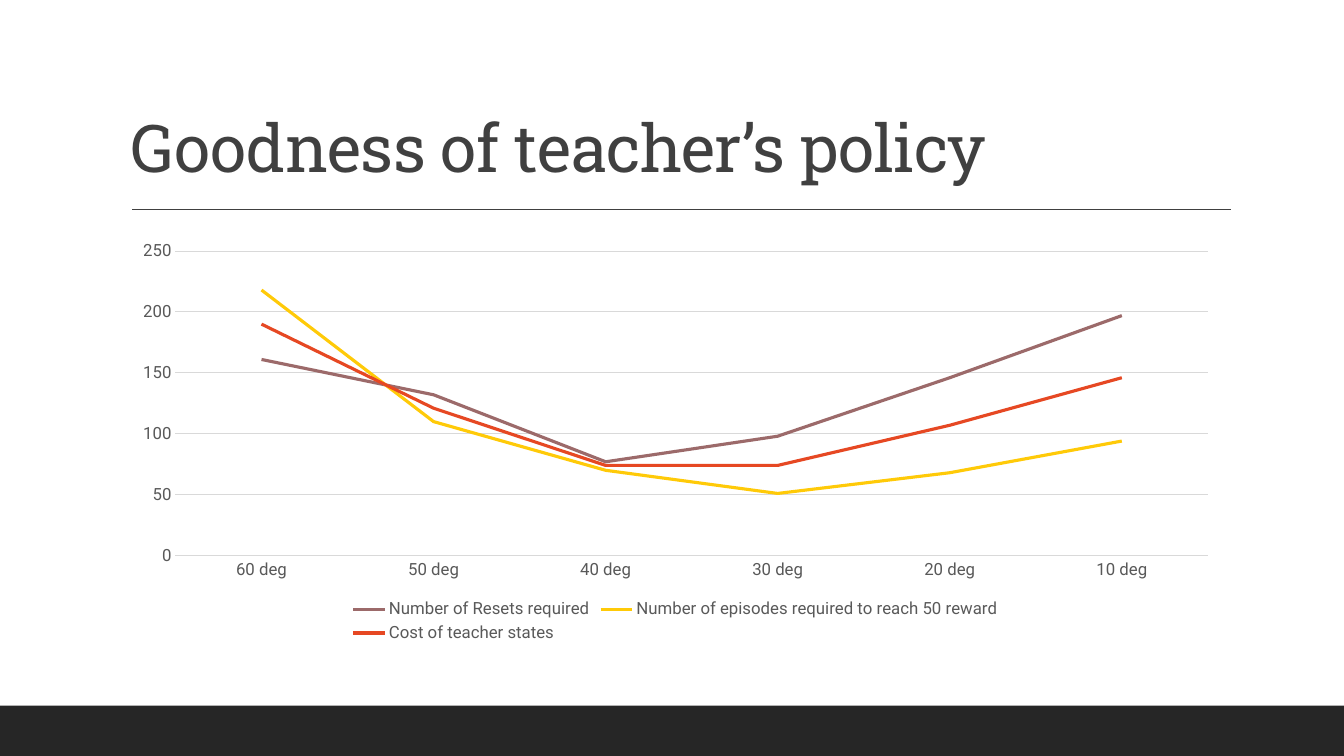
import pptx
import pptx.chart.data
import pptx.dml.color
import pptx.enum.chart
import pptx.enum.shapes
import pptx.enum.text
import pptx.oxml
import pptx.util
from pptx.util import Inches

COLOURS = {
    "footer": "262626",
    "title": "404040",
    "label": "595959",
    "grid": "D9D9D9",
    "resets": "9C6A6A",
    "episodes": "FFCA08",
    "cost": "E64823",
}
ANGLES = ["60 deg", "50 deg", "40 deg", "30 deg", "20 deg", "10 deg"]
SERIES = [
    ("Number of Resets required", "resets", (161, 132, 77, 98, 146, 197)),
    ("Number of episodes required to reach 50 reward", "episodes", (218, 110, 70, 51, 68, 94)),
    ("Cost of teacher states", "cost", (190, 121, 74, 74, 107, 146)),
]


def colour(name):
    return pptx.dml.color.RGBColor.from_string(COLOURS[name])


def style_font(font, face, size, shade):
    font.name = face
    font.size = pptx.util.Pt(size)
    font.color.rgb = colour(shade)


def style_line(line, shade, width):
    line.color.rgb = colour(shade)
    line.width = pptx.util.Pt(width)


def add_bar(page, left, top, width, height, shade):
    bar = page.shapes.add_shape(
        pptx.enum.shapes.MSO_SHAPE.RECTANGLE,
        Inches(left), Inches(top), Inches(width), Inches(height))
    bar.shadow.inherit = False
    bar.fill.solid()
    bar.fill.fore_color.rgb = colour(shade)
    bar.line.fill.background()


def add_rule(page, left, right, top, shade, width):
    rule = page.shapes.add_connector(
        pptx.enum.shapes.MSO_CONNECTOR.STRAIGHT,
        Inches(left), Inches(top), Inches(right), Inches(top))
    style_line(rule.line, shade, width)
    rule._element.spPr.append(pptx.oxml.parse_xml(
        '<a:effectLst xmlns:a="http://schemas.openxmlformats.org/drawingml/2006/main"/>'))


def add_text(page, text, *, left, top, width, height, face, size, shade, spacing, tracking):
    box = page.shapes.add_textbox(Inches(left), Inches(top), Inches(width), Inches(height))
    frame = box.text_frame
    frame.word_wrap = True
    frame.vertical_anchor = pptx.enum.text.MSO_ANCHOR.BOTTOM
    para = frame.paragraphs[0]
    para.line_spacing = spacing
    span = para.add_run()
    span.text = text
    style_font(span.font, face, size, shade)
    # Letter spacing is in hundredths of a point
    span._r.get_or_add_rPr().set("spc", str(round(tracking * 100)))


def style_axis(axis):
    axis.major_tick_mark = pptx.enum.chart.XL_TICK_MARK.NONE
    axis.minor_tick_mark = pptx.enum.chart.XL_TICK_MARK.NONE
    style_font(axis.tick_labels.font, "Roboto", 12, "label")


def add_line_chart(page, left, top, width, height):
    data = pptx.chart.data.CategoryChartData()
    data.categories = ANGLES
    for name, _, values in SERIES:
        data.add_series(name, values)
    chart = page.shapes.add_chart(
        pptx.enum.chart.XL_CHART_TYPE.LINE,
        Inches(left), Inches(top), Inches(width), Inches(height), data).chart
    style_font(chart.font, "Roboto", 12, "label")
    chart.has_title = False

    # Axes and gridlines
    style_axis(chart.category_axis)
    style_line(chart.category_axis.format.line, "grid", 0.75)
    values_axis = chart.value_axis
    style_axis(values_axis)
    values_axis.format.line.fill.background()
    values_axis.minimum_scale = 0
    values_axis.maximum_scale = 250
    values_axis.major_unit = 50
    values_axis.has_major_gridlines = True
    style_line(values_axis.major_gridlines.format.line, "grid", 0.75)

    # Legend
    chart.has_legend = True
    chart.legend.position = pptx.enum.chart.XL_LEGEND_POSITION.BOTTOM
    chart.legend.include_in_layout = False
    style_font(chart.legend.font, "Roboto", 12, "label")

    # Lines
    plot = chart.plots[0]
    plot.vary_by_categories = False
    for series, (_, shade, _) in zip(plot.series, SERIES):
        series.smooth = False
        series.marker.style = pptx.enum.chart.XL_MARKER_STYLE.NONE
        style_line(series.format.line, shade, 2.25)


def main():
    deck = pptx.Presentation()
    deck.slide_width = Inches(13.33)
    deck.slide_height = Inches(7.5)
    page = deck.slides.add_slide(deck.slide_layouts[6])

    # Footer band and title rule
    add_bar(page, 0, 7, 13.33, 0.5, "footer")
    add_rule(page, 1.31, 12.21, 2.08, "title", 1)

    # Title and chart
    add_text(page, "Goodness of teacher’s policy",
             left=1.2, top=0.31, width=11, height=1.59, face="Roboto Slab",
             size=47, shade="title", spacing=0.9, tracking=-0.5)
    add_line_chart(page, 1.2, 2.31, 11, 4.11)

    deck.save("out.pptx")


if __name__ == "__main__":
    main()
